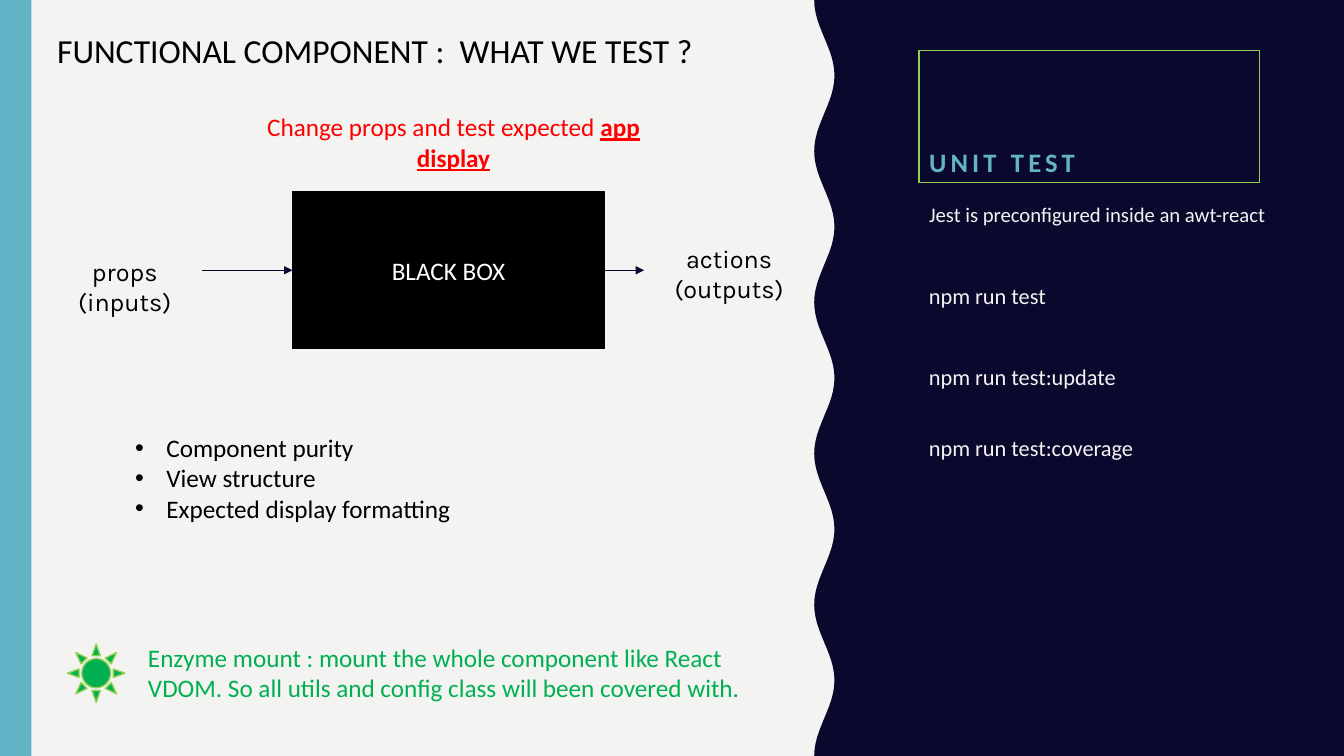
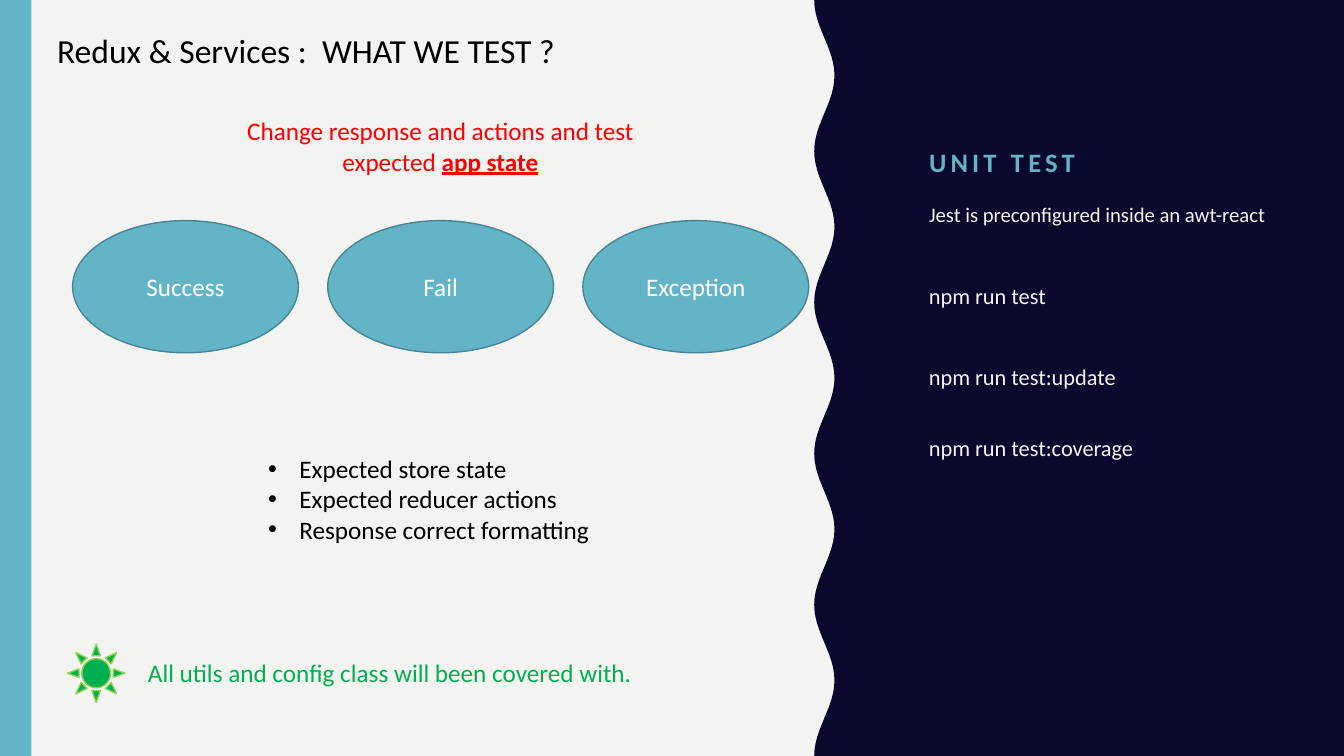
from dataclasses import dataclass
from math import cos, pi

from pptx import Presentation
from pptx.dml.color import RGBColor
from pptx.enum.shapes import MSO_CONNECTOR, MSO_SHAPE
from pptx.enum.text import MSO_ANCHOR, MSO_AUTO_SIZE, PP_ALIGN
from pptx.oxml.ns import qn
from pptx.oxml.xmlchemy import OxmlElement
from pptx.util import Cm, Pt

LEFT, CENTER = PP_ALIGN.LEFT, PP_ALIGN.CENTER
TOP, MIDDLE, BOTTOM = MSO_ANCHOR.TOP, MSO_ANCHOR.MIDDLE, MSO_ANCHOR.BOTTOM
NO_FIT, GROW = MSO_AUTO_SIZE.NONE, MSO_AUTO_SIZE.SHAPE_TO_FIT_TEXT
RECTANGLE, OVAL, SUN = MSO_SHAPE.RECTANGLE, MSO_SHAPE.OVAL, MSO_SHAPE.SUN
STRAIGHT = MSO_CONNECTOR.STRAIGHT
TWO_CONTENT = 3


@dataclass(frozen=True)
class Theme:
    paper: str = "F3F3F2"
    navy: str = "0B082E"
    teal: str = "62B4C6"
    teal_edge: str = "498592"
    lime: str = "92D050"
    green: str = "00B050"
    red: str = "FF0000"
    black: str = "000000"
    white: str = "FFFFFF"
    font: str = "Calibri"
    label_font: str = "Karla"
    heading: float = 24
    title: float = 19
    text: float = 18
    command: float = 16
    intro: float = 14.8


THEME = Theme()
WIDTH, HEIGHT = 33.87, 19.05  # centimetres, like every length below
SIDE_LEFT, SIDE_WIDTH, SIDE_HEIGHT = 23.16, 9.19, 1.24
COMMANDS = {6.86: "npm run test", 8.89: "npm run test:update",
            10.69: "npm run test:coverage"}


def color(value):
    return RGBColor.from_string(value)


# Text
def write(shape, lines, size=THEME.text, ink=THEME.black, font=THEME.font,
          align=LEFT, anchor=TOP, fit=NO_FIT, inset=None):
    """Fill a shape with one paragraph per line and return the paragraphs."""
    frame = shape.text_frame
    frame.text = "\n".join(lines)
    frame.word_wrap = True
    frame.auto_size = fit
    frame.vertical_anchor = anchor
    if inset is not None:
        frame.margin_left = frame.margin_right = Cm(inset)
        frame.margin_top = frame.margin_bottom = Cm(inset)
    for para in frame.paragraphs:
        para.alignment = align
        para.space_before = Pt(0)
        para.font.name = font
        para.font.size = Pt(size)
        para.font.color.rgb = color(ink)
    return frame.paragraphs


def add_text(slide, place, text, **style):
    box = slide.shapes.add_textbox(*map(Cm, place))
    return write(box, [text], **style)


def set_bullets(shape, mark=None, indent=0.0):
    for properties in shape.element.iter(qn("a:pPr")):
        properties.set("marL", str(Cm(indent)))
        properties.set("indent", str(-Cm(indent)))
        bullet = OxmlElement("a:buChar" if mark else "a:buNone")
        if mark:
            bullet.set("char", mark)
        properties.find(qn("a:defRPr")).addprevious(bullet)


def move(shape, place):
    shape.left, shape.top, shape.width, shape.height = map(Cm, place)


# Shapes
def paint(shape, fill, line=None, weight=1.0):
    shape.shadow.inherit = False
    shape.fill.solid()
    shape.fill.fore_color.rgb = color(fill)
    if line:
        shape.line.color.rgb = color(line)
        shape.line.width = Pt(weight)
    else:
        shape.line.fill.background()


def add_shape(slide, kind, place, fill, line=None, weight=1.0):
    shape = slide.shapes.add_shape(kind, *map(Cm, place))
    paint(shape, fill, line, weight)
    return shape


def add_arrow(slide, start, end, y):
    arrow = slide.shapes.add_connector(STRAIGHT, Cm(start), Cm(y), Cm(end), Cm(y))
    arrow.line.color.rgb = color(THEME.navy)
    arrow.line.width = Pt(0.75)
    head = OxmlElement("a:tailEnd")
    head.set("type", "triangle")
    properties = arrow.element.spPr
    properties.find(qn("a:ln")).append(head)
    properties.append(OxmlElement("a:effectLst"))


def add_wave(slide, trough=20.52, depth=0.51, waves=5, steps=24):
    """Panel on the right whose left edge is a cosine wave."""
    count = waves * steps
    edge = [(Cm(trough + depth / 2 * (1 - cos(2 * pi * step / steps))),
             Cm(HEIGHT * step / count)) for step in range(count, -1, -1)]
    builder = slide.shapes.build_freeform(Cm(trough), 0)
    builder.add_line_segments([(Cm(WIDTH), 0), (Cm(WIDTH), Cm(HEIGHT)), *edge])
    wave = builder.convert_to_shape()
    paint(wave, THEME.navy)
    return wave


# Parts shared by the slides
def decorate_master(deck, slide):
    """Draw the bands once and move them to the back of the master."""
    master = deck.slide_master
    master.background.fill.solid()
    master.background.fill.fore_color.rgb = color(THEME.paper)
    bands = [add_wave(slide),
             add_shape(slide, RECTANGLE, (0, 0, 0.79, HEIGHT), THEME.teal)]
    for index, band in enumerate(bands):
        band.element.nvSpPr.cNvPr.set("id", str(100 + index))
        master.shapes.element.insert(2 + index, band.element)


def fill_side_panel(slide):
    title = slide.shapes.title
    move(title, (SIDE_LEFT, 1.27, 8.59, 3.33))
    [para] = write(title, ["UNIT TEST"], THEME.title, THEME.teal, anchor=BOTTOM)
    para.font.bold = True
    for properties in title.element.iter(qn("a:defRPr")):
        properties.set("spc", "300")

    intro = slide.placeholders[1]
    move(intro, (SIDE_LEFT, 4.83, SIDE_WIDTH, SIDE_HEIGHT))
    paras = list(write(intro, ["Jest is preconfigured inside an awt-react"],
                       THEME.intro, THEME.paper))
    set_bullets(intro)
    for top, command in COMMANDS.items():
        paras += add_text(slide, (SIDE_LEFT, top, SIDE_WIDTH, SIDE_HEIGHT),
                          command, size=THEME.command, ink=THEME.paper)
    for para in paras:
        para.line_spacing = 1.2
        para.space_before = Pt(12)


def add_heading(slide, text):
    add_text(slide, (1.19, 0.64, 19.02, 1.27), text, size=THEME.heading, fit=GROW)


def add_goal(slide, left, top, text, target):
    [para] = add_text(slide, (left, top, 11.02, 1.8), text, ink=THEME.red,
                      align=CENTER, fit=GROW)
    span = para.add_run()
    span.text = target
    span.font.bold = span.font.underline = True


def fill_checks(slide, place, checks):
    body = slide.placeholders[2]
    move(body, place)
    write(body, checks, fit=GROW)
    set_bullets(body, "•", 0.79)


def add_tip(slide, top, height, text):
    add_text(slide, (3.48, top, 15.65, height), text, ink=THEME.green, fit=GROW)
    add_shape(slide, SUN, (1.7, 16.23, 1.45, 1.47), THEME.green, THEME.lime)


# Slides
def build_component_slide(slide):
    fill_side_panel(slide)
    outline = slide.shapes.title.line
    outline.color.rgb = color(THEME.lime)
    outline.width = Pt(0.75)
    add_heading(slide, "FUNCTIONAL COMPONENT :  WHAT WE TEST ?")

    black_box = add_shape(slide, RECTANGLE, (7.37, 4.83, 7.87, 3.96),
                          THEME.black, THEME.black, 0.75)
    write(black_box, ["BLACK BOX"], ink=THEME.white, align=CENTER,
          anchor=MIDDLE, inset=0.25)
    labels = {"props (inputs)": (1.19, 6.2, 3.91, 1.22),
              "actions (outputs)": (16.23, 5.87, 4.29, 1.9)}
    for text, place in labels.items():
        add_text(slide, place, text, font=THEME.label_font, align=CENTER, inset=0.25)
    for start, end in ((5.1, 7.37), (15.24, 16.23)):
        add_arrow(slide, start, end, 6.81)

    fill_checks(slide, (3.15, 10.77, 11.02, 2.57),
                ["Component purity", "View structure", "Expected display formatting"])
    add_tip(slide, 16.05, 1.8, "Enzyme mount : mount the whole component like React "
            "VDOM. So all utils and config class will been covered with.")
    add_goal(slide, 5.92, 2.69, "Change props and test expected ", "app display")


def build_services_slide(slide):
    fill_side_panel(slide)
    add_heading(slide, "Redux & Services :  WHAT WE TEST ?")
    for column, outcome in enumerate(("Success", "Fail", "Exception")):
        oval = add_shape(slide, OVAL, (1.83 + 6.43 * column, 5.56, 5.69, 3.33),
                         THEME.teal, THEME.teal_edge)
        write(oval, [outcome], ink=THEME.white, align=CENTER, anchor=MIDDLE)
    fill_checks(slide, (6.5, 11.3, 9.19, 2.57),
                ["Expected store state", "Expected reducer actions",
                 "Response correct formatting"])
    add_goal(slide, 5.59, 2.79, "Change response and actions and test expected ",
             "app state")
    add_tip(slide, 16.43, 1.02, "All utils and config class will been covered with.")


def main():
    deck = Presentation()
    deck.slide_width, deck.slide_height = Cm(WIDTH), Cm(HEIGHT)
    layout = deck.slide_layouts[TWO_CONTENT]
    component, services = (deck.slides.add_slide(layout) for _ in range(2))
    decorate_master(deck, component)
    build_component_slide(component)
    build_services_slide(services)
    deck.save("out.pptx")


if __name__ == "__main__":
    main()
